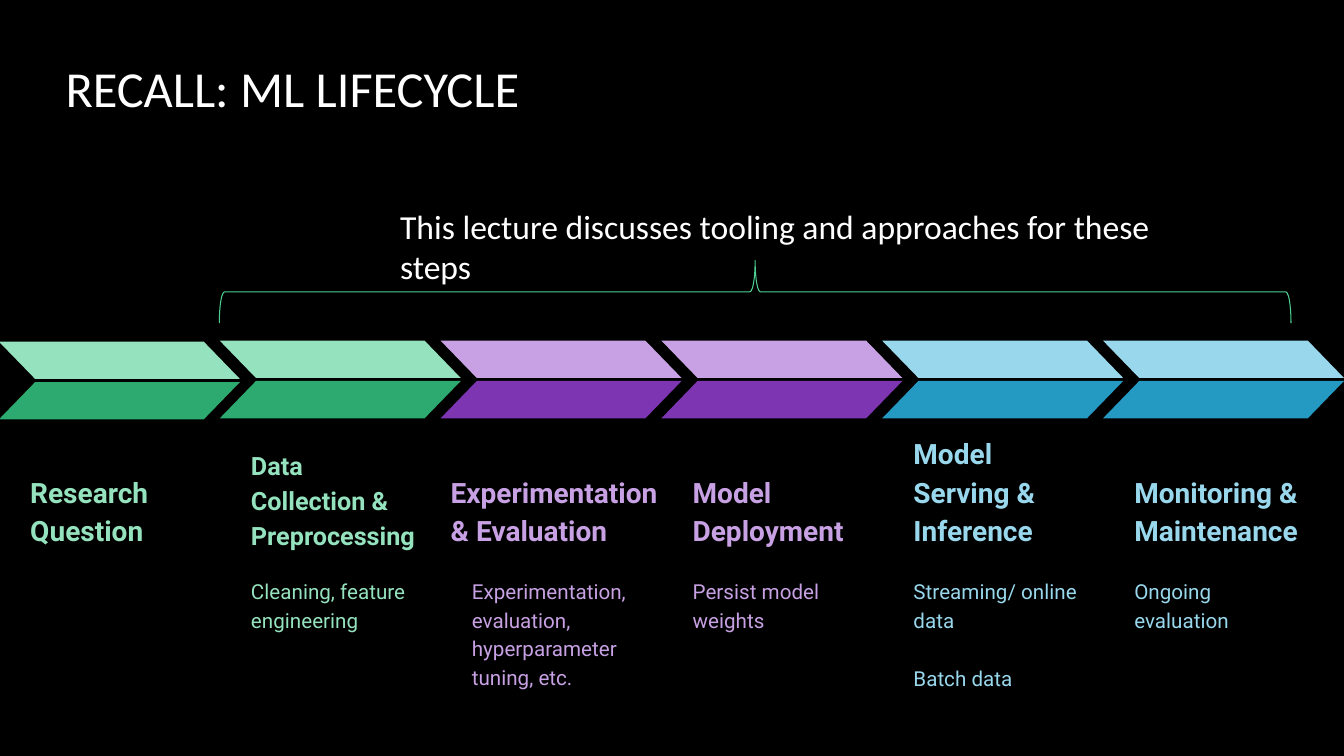
from pptx import Presentation
from pptx.dml.color import RGBColor
from pptx.enum import shapes, text
from pptx.oxml.ns import qn
from pptx.util import Inches, Pt

COLORS = {
    "background": "000000", "white": "FFFFFF", "brace": "4FD093",
    "green": "95E3BE", "dark green": "2DAA6F",
    "purple": "C7A1E3", "dark purple": "7D35B1",
    "blue": "98D7EC", "dark blue": "249AC2",
}

# heading, colour, detail paragraphs
STAGES = [
    ("Research Question", "green", []),
    ("Data Collection & Preprocessing", "green", ["Cleaning, feature engineering"]),
    ("Experimentation & Evaluation", "purple",
     ["Experimentation, evaluation, hyperparameter tuning, etc."]),
    ("Model Deployment", "purple", ["Persist model weights"]),
    ("Model Serving & Inference", "blue", ["Streaming/ online data", "Batch data"]),
    ("Monitoring & Maintenance", "blue", ["Ongoing evaluation"]),
]
FIRST_LEFT, PITCH = -0.01, 2.19
ARROW_WIDTH, HALF_HEIGHT = 2.39, 0.37

# heading box that departs from the usual: left offset, top, width, height, size
HEADING_BOX = (0.18, 4.4, 1.97, 1.16, 20)
SPECIAL_HEADING_BOXES = {1: (0.18, 4.35, 1.97, 1.24, 18), 2: (-0.03, 4.4, 2.39, 1.16, 20)}


def rgb(name):
    return RGBColor.from_string(COLORS[name])


def format_text(tf, size, color, font, bold=False, spacing=None):
    for p in tf.paragraphs:
        p.alignment = text.PP_ALIGN.LEFT
        if spacing:
            p.line_spacing = spacing
        for r in p.runs:
            r.font.size = Pt(size)
            r.font.name = font
            r.font.bold = bold
            r.font.color.rgb = rgb(color)


def set_frame(tf, inset, anchor=text.MSO_ANCHOR.TOP):
    tf.word_wrap = True
    tf.auto_size = text.MSO_AUTO_SIZE.NONE
    tf.vertical_anchor = anchor
    tf.margin_left = tf.margin_right = tf.margin_top = tf.margin_bottom = Inches(inset)


def add_title(slide, wording):
    title = slide.shapes.title
    title.left, title.top = Inches(0.52), Inches(0.5)
    title.width, title.height = Inches(12.42), Inches(0.84)
    title.text_frame.text = wording
    set_frame(title.text_frame, 0.13)
    format_text(title.text_frame, 36, "white", "Calibri", spacing=0.9)


def add_text(parent, box, paragraphs, size, color, bold=False,
             anchor=text.MSO_ANCHOR.TOP):
    tf = parent.add_textbox(*map(Inches, box)).text_frame
    tf.text = "\n".join(paragraphs)
    set_frame(tf, 0.13, anchor)
    format_text(tf, size, color, "Roboto", bold, 1.15)
    for p in tf.paragraphs[1:]:
        p.space_before = Pt(21.3)


def add_half_arrow(parent, left, top, color, flipped=False):
    s = parent.add_shape(shapes.MSO_SHAPE.PARALLELOGRAM, Inches(left), Inches(top),
                         Inches(ARROW_WIDTH), Inches(HALF_HEIGHT))
    s.adjustments[0] = 0.97
    s.shadow.inherit = False
    s.fill.solid()
    s.fill.fore_color.rgb = rgb(color)
    s.line.fill.background()
    if flipped:
        s.element.spPr.find(qn("a:xfrm")).set("flipH", "1")


def add_stage(slide, index, heading, color, details):
    """Add one arrow with its heading and details as a group."""
    group = slide.shapes.add_group_shape().shapes
    left = FIRST_LEFT + PITCH * index
    top = 3.38 if index else 3.39
    add_half_arrow(group, left, top, color, flipped=True)
    add_half_arrow(group, left, top + 0.4, "dark " + color)

    offset, y, width, height, size = SPECIAL_HEADING_BOXES.get(index, HEADING_BOX)
    add_text(group, (left + offset, y, width, height), [heading], size, color,
             bold=True, anchor=text.MSO_ANCHOR.BOTTOM)
    if details:
        add_text(group, (left + 0.18, 5.58, 1.97, 1.92), details, 14.7, color)


def add_brace(slide):
    s = slide.shapes.add_shape(shapes.MSO_SHAPE.RIGHT_BRACE, Inches(7.18), Inches(-2.42),
                               Inches(0.62), Inches(10.63))
    s.rotation = 270
    s.shadow.inherit = False
    s.fill.background()
    s.line.color.rgb = rgb("brace")
    s.line.width = Pt(0.75)


def add_brace_label(slide, wording):
    box = slide.shapes.add_textbox(Inches(3.87), Inches(1.99), Inches(8.23), Inches(0.5))
    tf = box.text_frame
    tf.text = wording
    tf.word_wrap = True
    format_text(tf, 24, "white", "Calibri")


def main():
    prs = Presentation()
    prs.slide_width, prs.slide_height = Inches(13.33), Inches(7.5)
    slide = prs.slides.add_slide(prs.slide_layouts[5])
    slide.background.fill.solid()
    slide.background.fill.fore_color.rgb = rgb("background")

    add_title(slide, "RECALL: ML LIFECYCLE")
    for i, (heading, color, details) in enumerate(STAGES):
        add_stage(slide, i, heading, color, details)
    add_brace(slide)
    add_brace_label(slide, "This lecture discusses tooling and approaches for these steps")
    prs.save("out.pptx")


if __name__ == "__main__":
    main()
